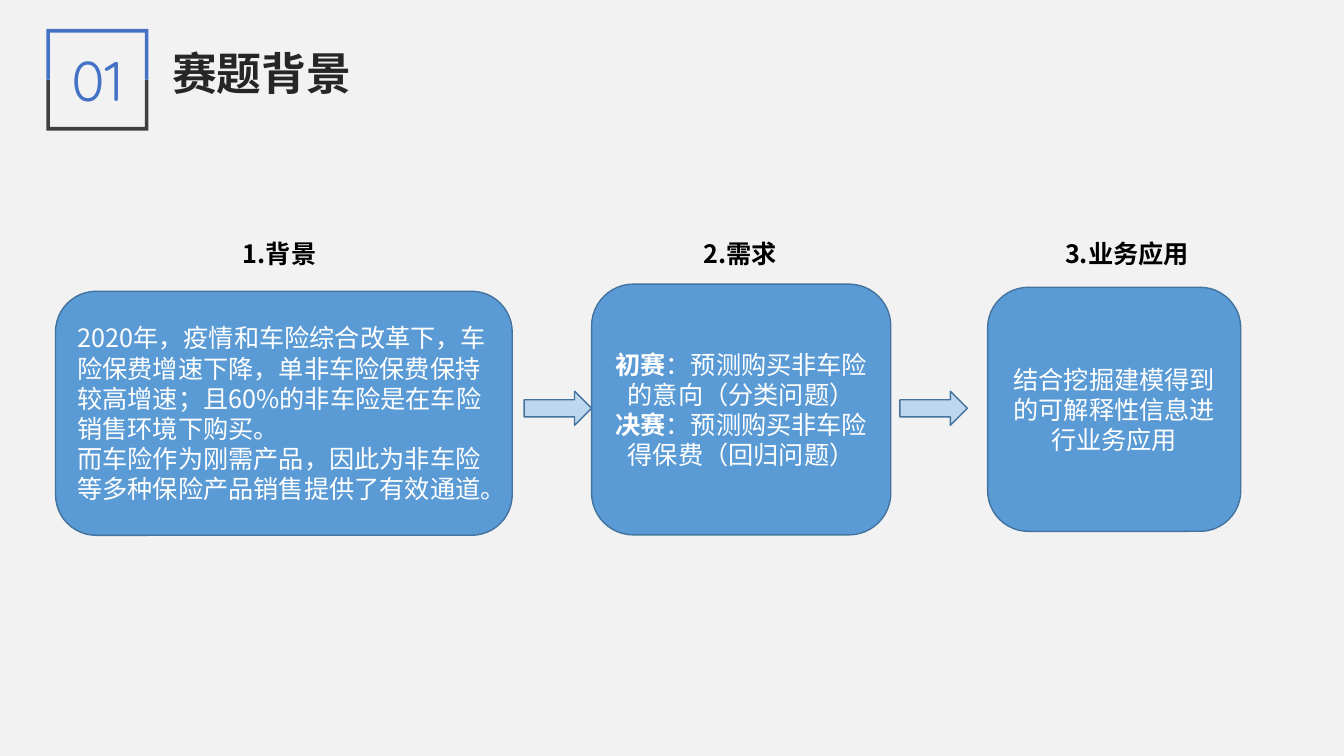
"""Build the competition background slide."""
from dataclasses import dataclass

from lxml import etree
from pptx import Presentation
from pptx import util as u
from pptx.dml import color
from pptx.enum import shapes, text
from pptx.oxml import ns


@dataclass(frozen=True)
class Theme:
    """Colours, fonts and type sizes of the slide."""

    background: str = "F2F2F2"
    accent: str = "4472C4"
    dark: str = "404040"
    title: str = "262626"
    heading: str = "000000"
    box: str = "5B9BD5"
    box_text: str = "FFFFFF"
    arrow: str = "BDD7EE"
    outline: str = "43739E"
    font: str = "Noto Sans CJK SC"
    number_font: str = "Quicksand"
    number_size: int = 40
    title_size: int = 32
    body_size: int = 18


class SlideBuilder:
    """Draws styled elements on the current slide."""

    def __init__(self, slide, theme):
        self.slide = slide
        self.theme = theme
        self.paint(slide.background.fill, theme.background)

    def paint(self, fill, colour):
        """Make a fill solid."""
        fill.solid()
        fill.fore_color.rgb = color.RGBColor.from_string(colour)

    def add_text(self, frame, paragraphs, size, colour, font=None, align=text.PP_ALIGN.LEFT):
        """Add paragraphs given as lists of (words, bold) runs."""
        font = font or self.theme.font
        frame.word_wrap = True
        for index, runs in enumerate(paragraphs):
            paragraph = frame.add_paragraph() if index else frame.paragraphs[0]
            paragraph.alignment = align
            for words, bold in runs:
                run = paragraph.add_run()
                run.text = words
                run.font.size = u.Pt(size)
                run.font.bold = bold
                run.font.color.rgb = color.RGBColor.from_string(colour)
                run.font.name = font
                properties = run._r.get_or_add_rPr()
                etree.SubElement(properties, ns.qn("a:ea")).set("typeface", font)

    def label(self, place, words, size, colour, bold=True, **style):
        """Add a one-line text box."""
        shape = self.slide.shapes.add_textbox(*map(u.Cm, place))
        self.add_text(shape.text_frame, [[(words, bold)]], size, colour, **style)

    def preset(self, kind, place, fill):
        """Add an outlined preset shape."""
        shape = self.slide.shapes.add_shape(kind, *map(u.Cm, place))
        shape.shadow.inherit = False
        self.paint(shape.fill, fill)
        self.paint(shape.line.fill, self.theme.outline)
        shape.line.width = u.Pt(1)
        return shape

    def box(self, place, paragraphs, align):
        """Add a rounded box with text."""
        shape = self.preset(shapes.MSO_SHAPE.ROUNDED_RECTANGLE, place, self.theme.box)
        shape.text_frame.vertical_anchor = text.MSO_ANCHOR.MIDDLE
        self.add_text(shape.text_frame, paragraphs, self.theme.body_size,
                      self.theme.box_text, align=align)

    def arrow(self, left):
        """Add an arrow between two boxes."""
        self.preset(shapes.MSO_SHAPE.RIGHT_ARROW, (left, 9.86, 1.7, 0.86), self.theme.arrow)

    def bracket(self, left, middle, width, reach, colour):
        """Add half a frame that extends from the middle by a signed reach."""
        band = 0.09
        right, end = left + width, middle + reach
        inner = end - band if reach > 0 else end + band
        points = [(left, middle), (left, end), (right, end), (right, middle),
                  (right - band, middle), (right - band, inner),
                  (left + band, inner), (left + band, middle)]
        outline = [(u.Cm(x), u.Cm(y)) for x, y in points]
        builder = self.slide.shapes.build_freeform(*outline[0])
        builder.add_line_segments(outline[1:], close=True)
        shape = builder.convert_to_shape()
        shape.shadow.inherit = False
        self.paint(shape.fill, colour)
        shape.line.fill.background()


def main():
    """Build and save the slide."""
    presentation = Presentation()
    presentation.slide_width, presentation.slide_height = u.Cm(33.87), u.Cm(19.05)
    slide = presentation.slides.add_slide(presentation.slide_layouts[6])
    theme = Theme()
    builder = SlideBuilder(slide, theme)
    left, center = text.PP_ALIGN.LEFT, text.PP_ALIGN.CENTER

    for reach, colour in ((1.28, theme.dark), (-1.28, theme.accent)):
        builder.bracket(1.17, 2.01, 2.57, reach, colour)
    builder.label((1.17, 1.02, 2.57, 1.96), "01", theme.number_size, theme.accent,
                  bold=False, font=theme.number_font, align=center)
    builder.label((4.09, 1.04, 5.08, 1.63), "赛题背景", theme.title_size, theme.title)

    background = [
        [("2020年，疫情和车险综合改革下，车险保费增速下降，单非车险保费保持较高增速；"
          "且60%的非车险是在车险销售环境下购买。", False)],
        [("而车险作为刚需产品，因此为非车险等多种保险产品销售提供了有效通道。", False)],
    ]
    needs = [
        [("初赛", True), ("：预测购买非车险的意向（分类问题）", False)],
        [("决赛", True), ("：预测购买非车险得保费（回归问题）", False)],
    ]
    application = [[("结合挖掘建模得到的可解释性信息进行业务应用", False)]]
    stages = [
        ("1.背景", 5.87, 2.57, (1.4, 7.34, 11.51, 6.15), background, left),
        ("2.需求", 17.48, 2.82, (14.91, 7.16, 7.54, 6.32), needs, center),
        ("3.业务应用", 26.59, 3.84, (24.89, 7.24, 6.38, 6.15), application, center),
    ]
    for heading, heading_left, heading_width, place, paragraphs, align in stages:
        builder.label((heading_left, 5.89, heading_width, 1.02), heading,
                      theme.body_size, theme.heading)
        builder.box(place, paragraphs, align)
    for arrow_left in (13.21, 22.68):
        builder.arrow(arrow_left)

    presentation.save("out.pptx")


if __name__ == "__main__":
    main()
